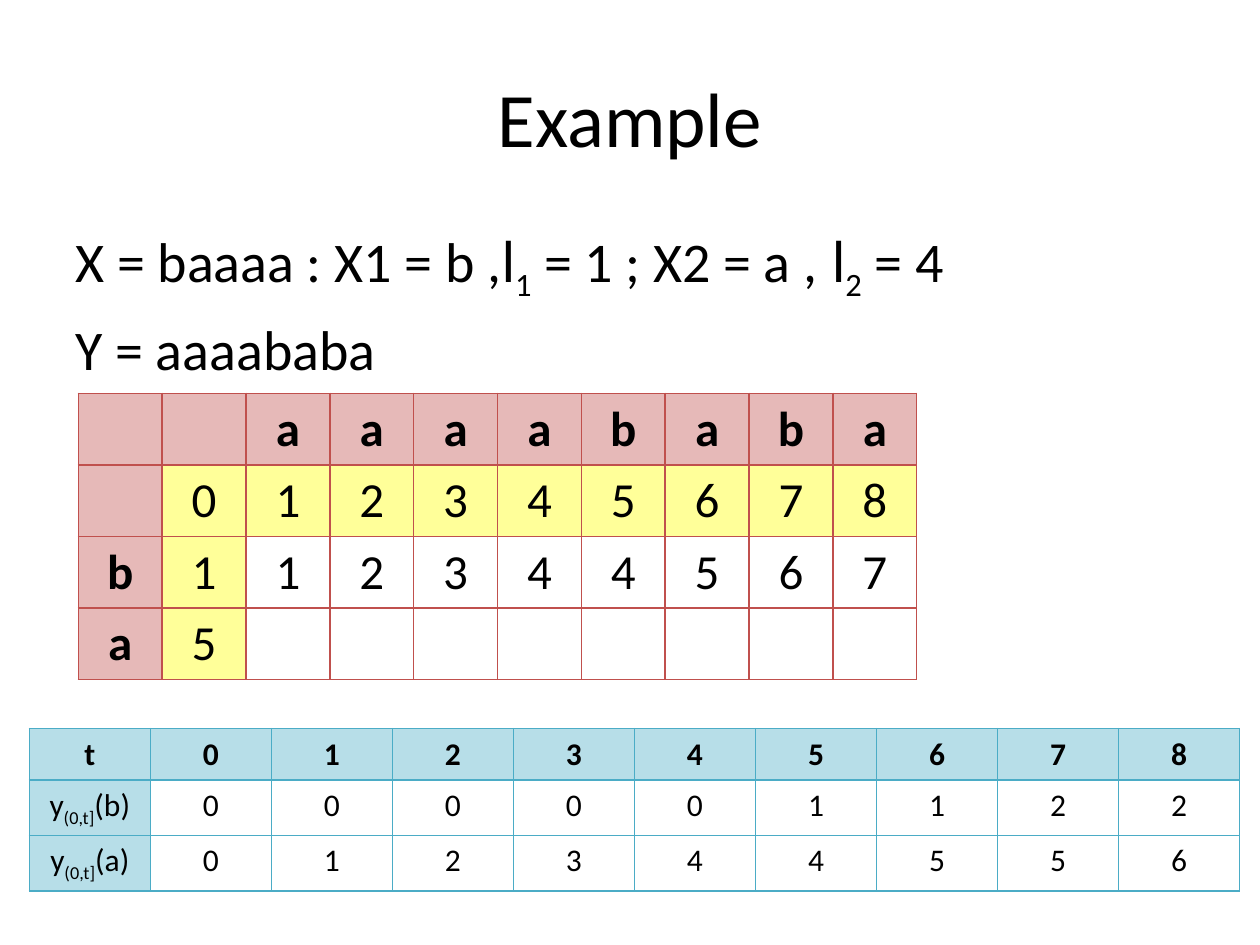
from lxml import etree
from pptx import Presentation
from pptx.dml.color import RGBColor
from pptx.enum.text import MSO_ANCHOR, PP_ALIGN
from pptx.oxml import parse_xml
from pptx.util import Cm, Pt

MID, TOP = MSO_ANCHOR.MIDDLE, MSO_ANCHOR.TOP
CENTER, LEFT = PP_ALIGN.CENTER, PP_ALIGN.LEFT
NS = "http://schemas.openxmlformats.org/drawingml/2006/main"
rgb = RGBColor.from_string


def write(par, runs, form, align=CENTER):
    """Add (text, font, is subscript) runs to a paragraph."""
    par.alignment = align
    for text, face, sub in runs:
        run = par.add_run()
        run.text = text
        for key, val in form.items():
            setattr(run.font, key, val)
        run.font.name = face
        run.font.color.rgb = rgb("000000")
        if sub:
            run._r.get_or_add_rPr().set("baseline", "-25000")


deck = Presentation()
deck.slide_width, deck.slide_height = Cm(25.4), Cm(19.05)
slide = deck.slides.add_slide(deck.slide_layouts[5])

# Title
title = slide.shapes.title
title.left, title.top, title.width, title.height = Cm(1.27), Cm(0.76), Cm(22.86), Cm(3.18)
title.text_frame.vertical_anchor = MID
write(title.text_frame.paragraphs[0], [("Example", "Calibri", False)], {"size": Pt(44)})

# The two strings, with a hanging indent
lines = [
    [("X = baaaa : X1 = b ,", "Calibri", False), ("l", "Lato", False),
     ("1", "Calibri", True), (" = 1 ; X2 = a ,", "Calibri", False),
     (" l", "Lato", False), ("2", "Calibri", True), (" = 4", "Calibri", False)],
    [("Y = aaaababa", "Calibri", False)],
]
body = slide.shapes.add_textbox(Cm(1.27), Cm(4.45), Cm(22.86), Cm(12.57)).text_frame
body.word_wrap = True
body.vertical_anchor = TOP
for num, runs in enumerate(lines):
    par = body.add_paragraph() if num else body.paragraphs[0]
    par.space_before = Pt(6.4 * num)
    props = par._p.get_or_add_pPr()
    props.set("marL", str(Cm(0.95)))
    props.set("indent", str(Cm(-0.95)))
    write(par, runs, {"size": Pt(32)}, LEFT)

# Tables: "|" sets off a subscript, "" is an empty cell
costs = [
    ["", "", *"aaaababa"],
    ["", *"012345678"],
    ["b", *"112344567"],
    ["a", "5", *[""] * 8],
]
counts = [
    ["t", *"012345678"],
    ["y|(0,t]|(b)", *"000001122"],
    ["y|(0,t]|(a)", *"012344556"],
]
specs = [
    {"rows": costs, "at": (1.58, 7.93), "col": 1.69, "size": 28,
     "head": "E6B9B8", "edge": "FFFF99", "line": "C0504D", "side": True},
    {"rows": counts, "at": (0.59, 14.69), "col": 2.44, "size": 18,
     "head": "B7DEE8", "edge": "FFFFFF", "line": "4BACC6", "side": False},
]
for item in specs:
    rows = item["rows"]
    wide, high = len(rows[0]), len(rows)
    left, top = item["at"]
    grid = slide.shapes.add_table(high, wide, Cm(left), Cm(top),
                                  Cm(item["col"] * wide), Cm(1.03 * high)).table
    for col in grid.columns:
        col.width = Cm(item["col"])
    for r, row in enumerate(rows):
        grid.rows[r].height = Cm(1.03)
        for c, text in enumerate(row):
            cell = grid.cell(r, c)
            # Headings first, then the start values, then the rest
            fill = item["head"] if 0 in (r, c) else item["edge"] if 1 in (r, c) else "FFFFFF"
            cell.fill.solid()
            cell.fill.fore_color.rgb = rgb(fill)
            bold = r == 0 or (c == 0 and item["side"])
            runs = [(part, "Calibri", n % 2 == 1)
                    for n, part in enumerate(text.split("|")) if part]
            write(cell.text_frame.paragraphs[0], runs,
                  {"size": Pt(item["size"]), "bold": bold})
            # Borders come before the fill
            props = cell._tc.get_or_add_tcPr()
            for n, side in enumerate("LRTB"):
                line = etree.Element(f"{{{NS}}}ln{side}", w=str(Pt(1)))
                solid = etree.SubElement(line, f"{{{NS}}}solidFill")
                etree.SubElement(solid, f"{{{NS}}}srgbClr", val=item["line"])
                props.insert(n, parse_xml(etree.tostring(line)))

deck.save("out.pptx")
